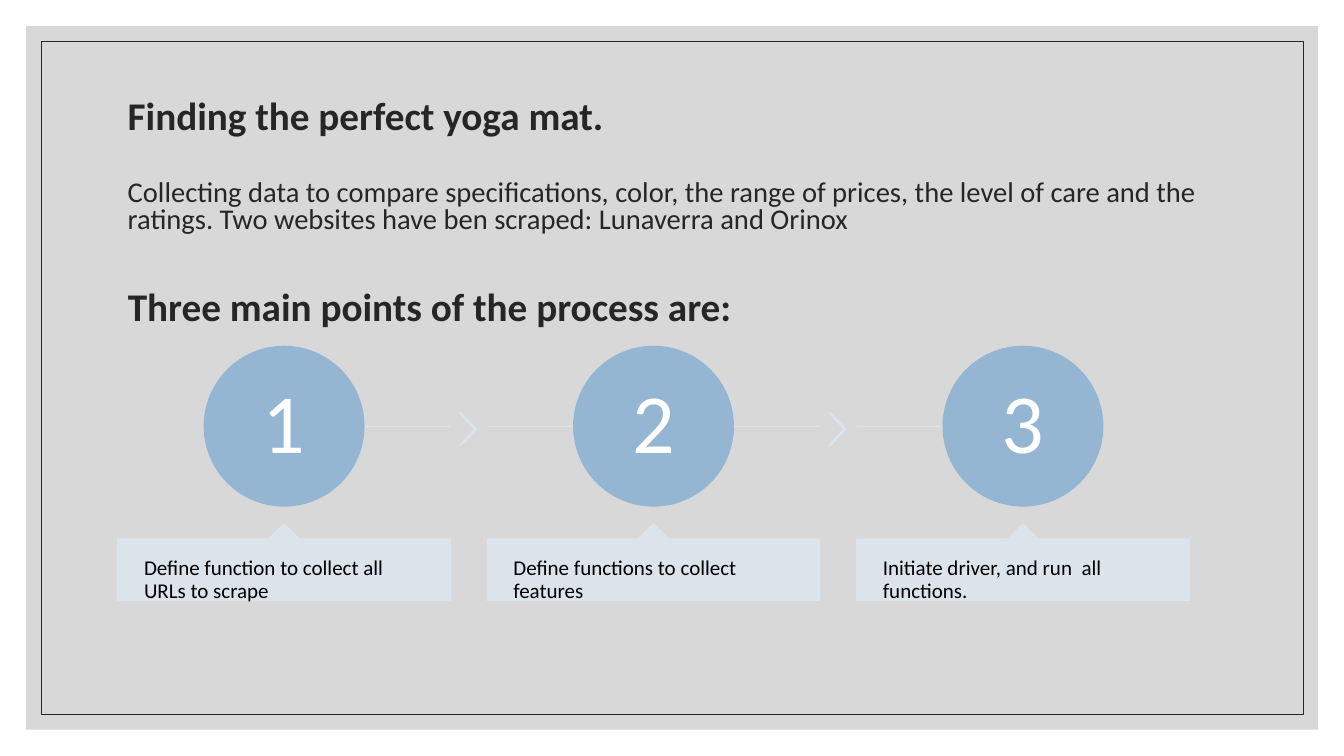
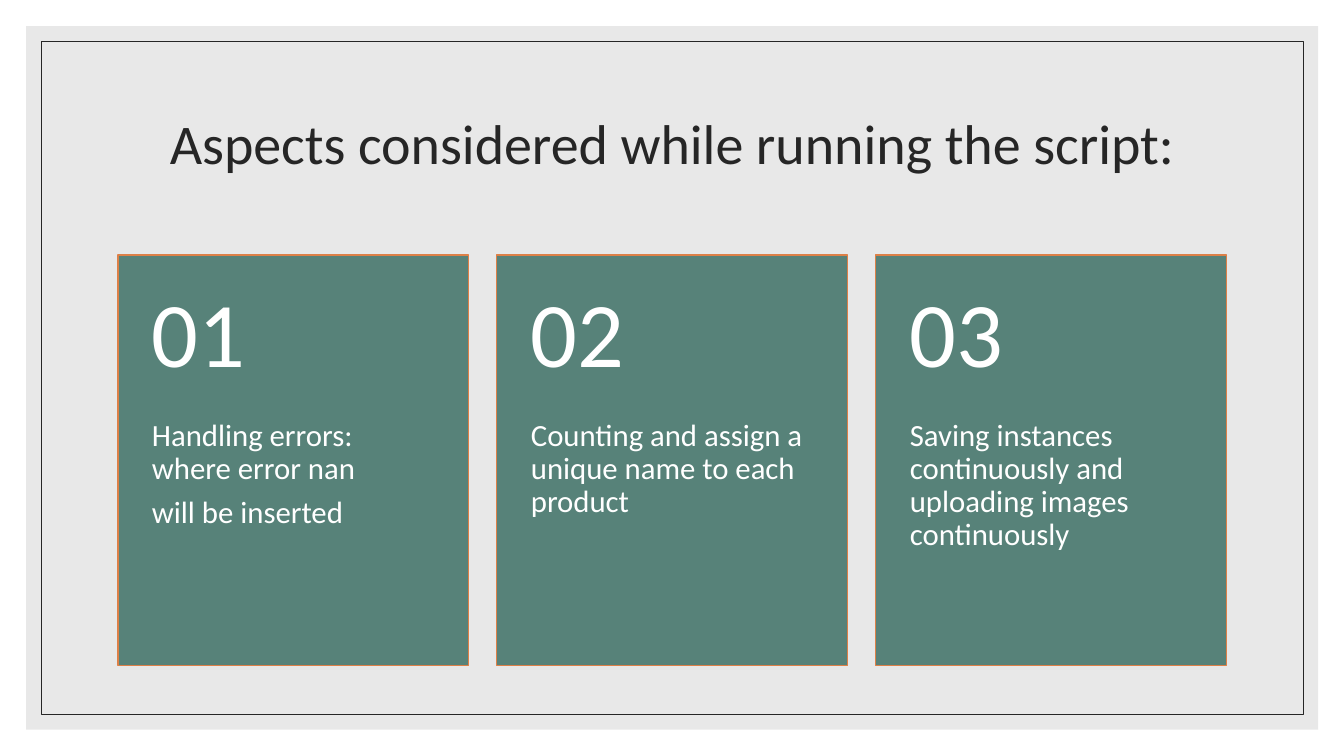
from dataclasses import dataclass

from lxml import etree
from pptx import Presentation
from pptx.dml.color import RGBColor
from pptx.dml.fill import FillFormat
from pptx.enum.shapes import MSO_CONNECTOR, MSO_SHAPE
from pptx.enum.text import MSO_ANCHOR, MSO_AUTO_SIZE, PP_ALIGN
from pptx.oxml.ns import qn
from pptx.shapes.autoshape import Shape
from pptx.slide import Slide
from pptx.util import Cm, Pt

RECT, OVAL = MSO_SHAPE.RECTANGLE, MSO_SHAPE.OVAL
CHEVRON, CALLOUT = MSO_SHAPE.CHEVRON, MSO_SHAPE.UP_ARROW_CALLOUT
STRAIGHT = MSO_CONNECTOR.STRAIGHT
TOP, MIDDLE = MSO_ANCHOR.TOP, MSO_ANCHOR.MIDDLE
LEFT, CENTER = PP_ALIGN.LEFT, PP_ALIGN.CENTER

FONT = "Calibri"
INK, BLACK, WHITE = "262626", "000000", "FFFFFF"
BLUE, PALE, GREEN, ORANGE = "94B6D2", "DCE5EE", "578279", "DD8047"

MARGIN, WIDTH = 2.97, 27.94  # content column, in cm
TITLE_ONLY = 5


@dataclass(frozen=True)
class Box:
    """A rectangle in centimetres."""
    x: float
    y: float
    w: float
    h: float


@dataclass(frozen=True)
class Style:
    size: float
    color: str = INK
    bold: bool = False
    align: PP_ALIGN = LEFT
    anchor: MSO_ANCHOR = MIDDLE
    pad: tuple[float, float, float, float] = (0.25, 0.13, 0.25, 0.13)
    line: float = 0.9
    after: float = 0


@dataclass(frozen=True)
class Item:
    label: str
    lines: tuple[str, ...]


HEAD = Style(28, bold=True)
INTRO = Style(20.4, line=0.8)
TITLE = Style(40, align=CENTER)
DIGIT = Style(60, WHITE, align=CENTER, pad=(0.15,) * 4)
NOTE = Style(15, BLACK, anchor=TOP, pad=(0.66, 0.46, 0.66, 0))
NUMBER = Style(66, WHITE, pad=(0.86, 0.46, 0.86, 0.46))
BODY = Style(22, WHITE, anchor=TOP, pad=(0.86, 0, 0.86, 0.91), after=7.5)

STEPS = (
    Item("1", ("Define function to collect all URLs to scrape",)),
    Item("2", ("Define functions to collect features",)),
    Item("3", ("Initiate driver, and run  all functions.",)),
)
CARDS = (
    Item("01", ("Handling errors: where error nan", "will be inserted")),
    Item("02", ("Counting and assign a unique name to each product",)),
    Item("03", ("Saving instances continuously and uploading images continuously",)),
)


def paint(fill: FillFormat, color: str) -> None:
    fill.solid()
    fill.fore_color.rgb = RGBColor.from_string(color)


def fade(shape, percent: int) -> None:
    """Set the opacity of the shape's fill and line."""
    for color in shape._element.spPr.iter(qn("a:srgbClr")):
        etree.SubElement(color, qn("a:alpha")).set("val", str(percent * 1000))


def place(shape, box: Box) -> None:
    shape.left, shape.top = Cm(box.x), Cm(box.y)
    shape.width, shape.height = Cm(box.w), Cm(box.h)


def draw(slide: Slide, kind: MSO_SHAPE, box: Box, fill: str | None = None,
         edge: str | None = None, weight: float = 1) -> Shape:
    shape = slide.shapes.add_shape(kind, 0, 0, 0, 0)
    place(shape, box)
    shape.shadow.inherit = False
    if fill:
        paint(shape.fill, fill)
    else:
        shape.fill.background()
    if edge:
        paint(shape.line.fill, edge)
        shape.line.width = Pt(weight)
    else:
        shape.line.fill.background()
    return shape


def link(slide: Slide, start: float, end: float, y: float) -> None:
    line = slide.shapes.add_connector(STRAIGHT, Cm(start), Cm(y), Cm(end), Cm(y))
    paint(line.line.fill, PALE)
    line.line.width = Pt(1)
    fade(line, 90)
    etree.SubElement(line._element.spPr, qn("a:effectLst"))


def write(shape, lines: tuple[str, ...], style: Style) -> None:
    frame = shape.text_frame
    frame.word_wrap = True
    frame.auto_size = MSO_AUTO_SIZE.NONE
    frame.vertical_anchor = style.anchor
    (frame.margin_left, frame.margin_top,
     frame.margin_right, frame.margin_bottom) = map(Cm, style.pad)
    for i, text in enumerate(lines):
        para = frame.add_paragraph() if i else frame.paragraphs[0]
        para.alignment = style.align
        para.line_spacing = style.line
        para.space_before, para.space_after = Pt(0), Pt(style.after)
        run = para.add_run()
        run.text = text
        run.font.name, run.font.size = FONT, Pt(style.size)
        run.font.bold = style.bold
        run.font.color.rgb = RGBColor.from_string(style.color)


def label(slide: Slide, box: Box, lines: tuple[str, ...], style: Style) -> None:
    shape = slide.shapes.add_textbox(0, 0, 0, 0)
    place(shape, box)
    write(shape, lines, style)


def start(deck, tint: str, text: str, box: Box, style: Style) -> Slide:
    """Add a slide with the tinted panel, the thin frame and its title."""
    slide = deck.slides.add_slide(deck.slide_layouts[TITLE_ONLY])
    fade(draw(slide, RECT, Box(0.66, 0.66, 32.56, 17.73), tint), 60)
    draw(slide, RECT, Box(1.04, 1.04, 31.8, 16.97), edge=INK, weight=0.5)
    title = slide.shapes.title
    place(title, box)
    write(title, (text,), style)
    slide.shapes._spTree.append(title._element)  # in front of the panel
    return slide


def process(deck) -> None:
    slide = start(deck, "BFBFBF", "Three main points of the process are:",
                  Box(MARGIN, 6.83, WIDTH, 1.88), HEAD)
    label(slide, Box(MARGIN, 2.03, WIDTH, 1.88),
          ("Finding the perfect yoga mat.",), HEAD)
    label(slide, Box(MARGIN, 4.29, WIDTH, 1.88),
          ("Collecting data to compare specifications, color, the range of "
           "prices, the level of care and the ratings. Two websites have ben "
           "scraped: Lunaverra and Orinox",), INTRO)

    wide, pitch, disc, axis = 8.38, 9.31, 4.02, 10.74
    last = len(STEPS) - 1
    for i, step in enumerate(STEPS):
        x = MARGIN + i * pitch
        mid, right = x + wide / 2, x + wide
        link(slide, x if i else mid, right if i < last else mid, axis)
        if i < last:
            arrow = draw(slide, CHEVRON, Box(right + 0.23, 10.41, 0.43, 0.81),
                         PALE, PALE)
            arrow.adjustments[0] = 0.9
            fade(arrow, 90)
        circle = draw(slide, OVAL,
                      Box(mid - disc / 2, axis - disc / 2, disc, disc),
                      BLUE, BLUE)
        write(circle, (step.label,), DIGIT)
        note = draw(slide, CALLOUT, Box(x, 13.2, wide, 1.93), PALE, PALE)
        for n, value in enumerate((0.5, 0.2, 0.2, 1)):
            note.adjustments[n] = value
        fade(note, 90)
        write(note, step.lines, NOTE)


def aspects(deck) -> None:
    slide = start(deck, "D9D9D9", "Aspects considered while running the script:",
                  Box(MARGIN, 1.78, WIDTH, 3.81), TITLE)
    wide, top, high, head = 8.84, 6.43, 10.34, 4.14
    pitch = (WIDTH - wide) / (len(CARDS) - 1)
    for i, card in enumerate(CARDS):
        x = MARGIN + i * pitch
        draw(slide, RECT, Box(x, top, wide, high), GREEN, ORANGE)
        label(slide, Box(x, top + head, wide, high - head), card.lines, BODY)
        label(slide, Box(x, top, wide, head), (card.label,), NUMBER)


def main() -> None:
    deck = Presentation()
    deck.slide_width, deck.slide_height = Cm(33.87), Cm(19.05)
    process(deck)
    aspects(deck)
    deck.save("out.pptx")


if __name__ == "__main__":
    main()
